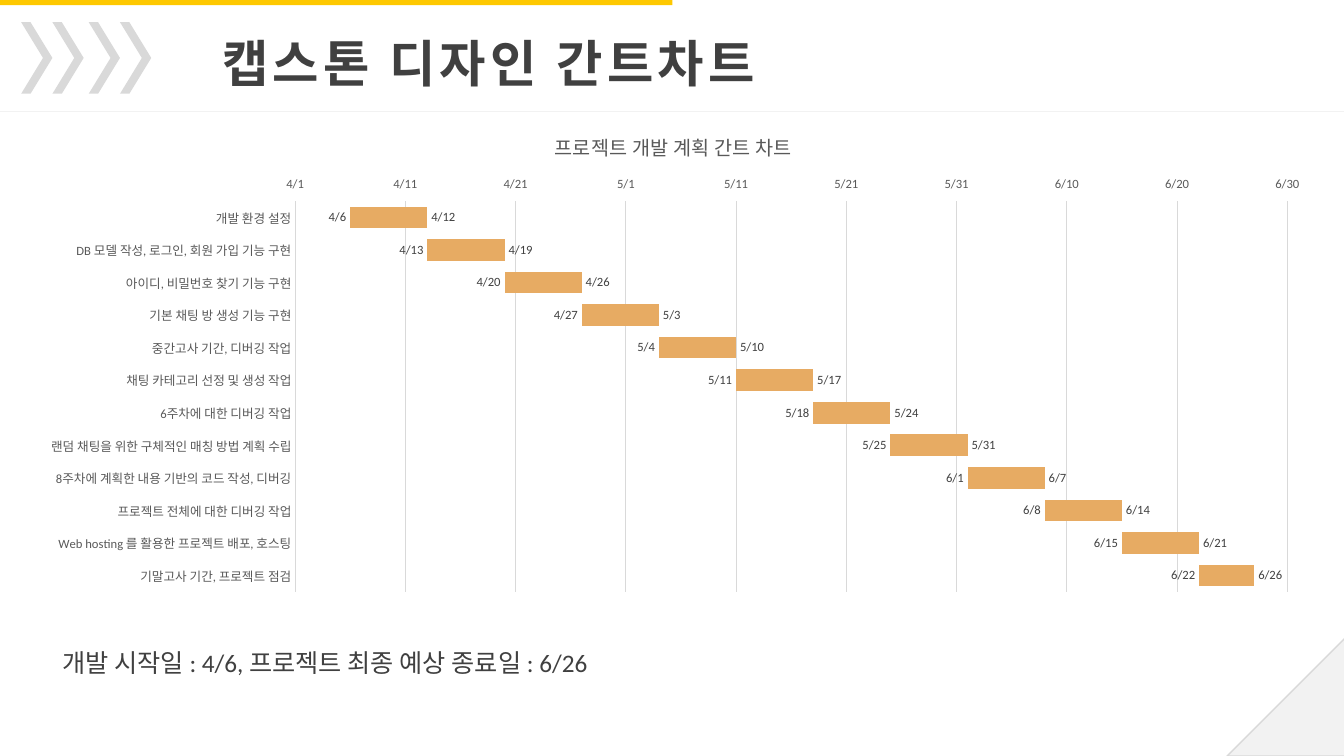
"""Build the capstone design Gantt chart slide."""
from lxml import etree
from pptx import Presentation
from pptx.chart.data import CategoryChartData
from pptx.dml.color import RGBColor
from pptx.enum.chart import XL_CHART_TYPE, XL_LABEL_POSITION, XL_TICK_LABEL_POSITION, XL_TICK_MARK
from pptx.enum.shapes import MSO_CONNECTOR, MSO_SHAPE
from pptx.enum.text import MSO_ANCHOR, MSO_AUTO_SIZE, PP_ALIGN
from pptx.oxml import parse_xml
from pptx.oxml.ns import nsdecls, qn
from pptx.util import Inches, Pt

BAR_STACKED = XL_CHART_TYPE.BAR_STACKED
INSIDE_END, INSIDE_BASE = XL_LABEL_POSITION.INSIDE_END, XL_LABEL_POSITION.INSIDE_BASE
LABELS_LOW, NO_TICK = XL_TICK_LABEL_POSITION.LOW, XL_TICK_MARK.NONE
STRAIGHT = MSO_CONNECTOR.STRAIGHT
TRIANGLE, RECTANGLE, CHEVRON = MSO_SHAPE.RIGHT_TRIANGLE, MSO_SHAPE.RECTANGLE, MSO_SHAPE.CHEVRON
TOP, FIT_SHAPE = MSO_ANCHOR.TOP, MSO_AUTO_SIZE.SHAPE_TO_FIT_TEXT
RIGHT, JUSTIFY = PP_ALIGN.RIGHT, PP_ALIGN.JUSTIFY

COLORS = {"accent": "FEC800", "bar": "E7AB63", "text": "404040", "axis": "595959",
          "grey": "D9D9D9", "pale": "F2F2F2"}
COLORS = {name: RGBColor.from_string(value) for name, value in COLORS.items()}
DATE_FORMAT = 'm"/"d;@'
APRIL_1 = 43922
TASKS = [
    "개발 환경 설정",
    "DB 모델 작성, 로그인, 회원 가입 기능 구현",
    "아이디, 비밀번호 찾기 기능 구현",
    "기본 채팅 방 생성 기능 구현",
    "중간고사 기간, 디버깅 작업",
    "채팅 카테고리 선정 및 생성 작업",
    "6주차에 대한 디버깅 작업",
    "랜덤 채팅을 위한 구체적인 매칭 방법 계획 수립",
    "8주차에 계획한 내용 기반의 코드 작성, 디버깅",
    "프로젝트 전체에 대한 디버깅 작업",
    "Web hosting 를 활용한 프로젝트 배포, 호스팅",
    "기말고사 기간, 프로젝트 점검",
]


def add_filled_shape(kind, left, top, width, height, color):
    shape = page.shapes.add_shape(kind, Inches(left), Inches(top), Inches(width), Inches(height))
    shape.shadow.inherit = False
    shape.fill.solid()
    shape.fill.fore_color.rgb = COLORS[color]
    shape.line.fill.background()
    return shape


def format_font(font, size, color, name="Calibri", bold=False):
    values = {"size": Pt(size), "name": name, "bold": bold}
    for key, value in values.items():
        setattr(font, key, value)
    font.color.rgb = COLORS[color]


deck = Presentation()
deck.slide_width, deck.slide_height = Inches(13.33), Inches(7.5)
page = deck.slides.add_slide(deck.slide_layouts[5])

corner = add_filled_shape(TRIANGLE, 12.17, 6.33, 1.17, 1.17, "pale")
corner.rotation = 270
corner.line.color.rgb = COLORS["grey"]
corner.line.width = Pt(1)
add_filled_shape(RECTANGLE, 0, 0, 6.67, 0.05, "accent")
for left in (0.21, 0.52, 0.88, 1.19):
    chevron = add_filled_shape(CHEVRON, left, 0.22, 0.31, 0.71, "grey")
    chevron.adjustments[0] = 0.7

divider = page.shapes.add_connector(STRAIGHT, 0, Inches(1.1), deck.slide_width, Inches(1.1))
divider.line.color.rgb = COLORS["pale"]
divider.line.width = Pt(0.5)
etree.SubElement(divider._element.spPr, qn("a:effectLst"))

title = page.shapes.title
title.left, title.top, title.width, title.height = map(Inches, (1.55, 0.27, 6.04, 0.71))
summary = page.shapes.add_textbox(Inches(0.52), Inches(6.37), Inches(12.4), Inches(0.4))
texts = [
    (title, "캡스톤 디자인 간트차트", RIGHT, False, (36, "text", "TeX Gyre Adventor", True)),
    (summary, "개발 시작일 : 4/6, 프로젝트 최종 예상 종료일 : 6/26", JUSTIFY, True, (18, "text")),
]
for box, text, align, wrap, style in texts:
    frame = box.text_frame
    frame.word_wrap = wrap
    frame.auto_size = FIT_SHAPE
    frame.vertical_anchor = TOP
    para = frame.paragraphs[0]
    para.alignment = align
    span = para.add_run()
    span.text = text
    format_font(span.font, *style)
title.text_frame.paragraphs[0].runs[0].font._element.set("spc", "300")

starts = [APRIL_1 + 5 + 7 * week for week in range(len(TASKS))]
durations = [7] * (len(TASKS) - 1) + [5]
ends = [start + days - 1 for start, days in zip(starts, durations)]
data = CategoryChartData()
data.categories = TASKS
data.add_series("Series 1", starts, DATE_FORMAT)
data.add_series("Series 2", durations, "General")
data.add_series("Series 3", ends, DATE_FORMAT)
chart = page.shapes.add_chart(BAR_STACKED, Inches(0.21), Inches(1.1), Inches(12.94), Inches(4.87), data).chart
chart.has_legend = False
chart.font.size, chart.font.name = Pt(10), "Calibri"
chart.has_title = True
heading = chart.chart_title.text_frame
heading.text = "프로젝트 개발 계획 간트 차트"
format_font(heading.paragraphs[0].runs[0].font, 14, "axis")

plot = chart.plots[0]
plot.gap_width, plot.overlap, plot.vary_by_categories = 50, 100, False
start_series, duration_series, end_series = plot.series
duration_series.format.fill.solid()
duration_series.format.fill.fore_color.rgb = COLORS["bar"]
for series, position in ((start_series, INSIDE_END), (end_series, INSIDE_BASE)):
    series.format.fill.background()
    labels = series.data_labels
    settings = {"show_value": True, "position": position, "number_format": DATE_FORMAT,
                "number_format_is_linked": False}
    for key, value in settings.items():
        setattr(labels, key, value)
    format_font(labels.font, 9, "text")

tasks_axis, dates_axis = chart.category_axis, chart.value_axis
for axis in (tasks_axis, dates_axis):
    axis.major_tick_mark = axis.minor_tick_mark = NO_TICK
    format_font(axis.tick_labels.font, 9, "axis")
tasks_axis.reverse_order = True
dates_axis.minimum_scale, dates_axis.maximum_scale, dates_axis.major_unit = APRIL_1, APRIL_1 + 91, 10
dates_axis.tick_label_position = LABELS_LOW
dates_axis.tick_labels.number_format = DATE_FORMAT
dates_axis.tick_labels.number_format_is_linked = False
dates_axis.format.line.fill.background()
for line in (tasks_axis.format.line, dates_axis.major_gridlines.format.line):
    line.color.rgb = COLORS["grey"]
    line.width = Pt(0.75)

plot_area = chart._chartSpace.chart.plotArea
for layout in plot_area.findall(qn("c:layout")):
    plot_area.remove(layout)
plot_area.insert(0, parse_xml(
    f'<c:layout {nsdecls("c")}><c:manualLayout><c:layoutTarget val="inner"/>'
    '<c:xMode val="edge"/><c:yMode val="edge"/><c:x val="0.21"/><c:y val="0.184"/>'
    '<c:w val="0.769"/><c:h val="0.796"/></c:manualLayout></c:layout>'))

deck.save("out.pptx")
